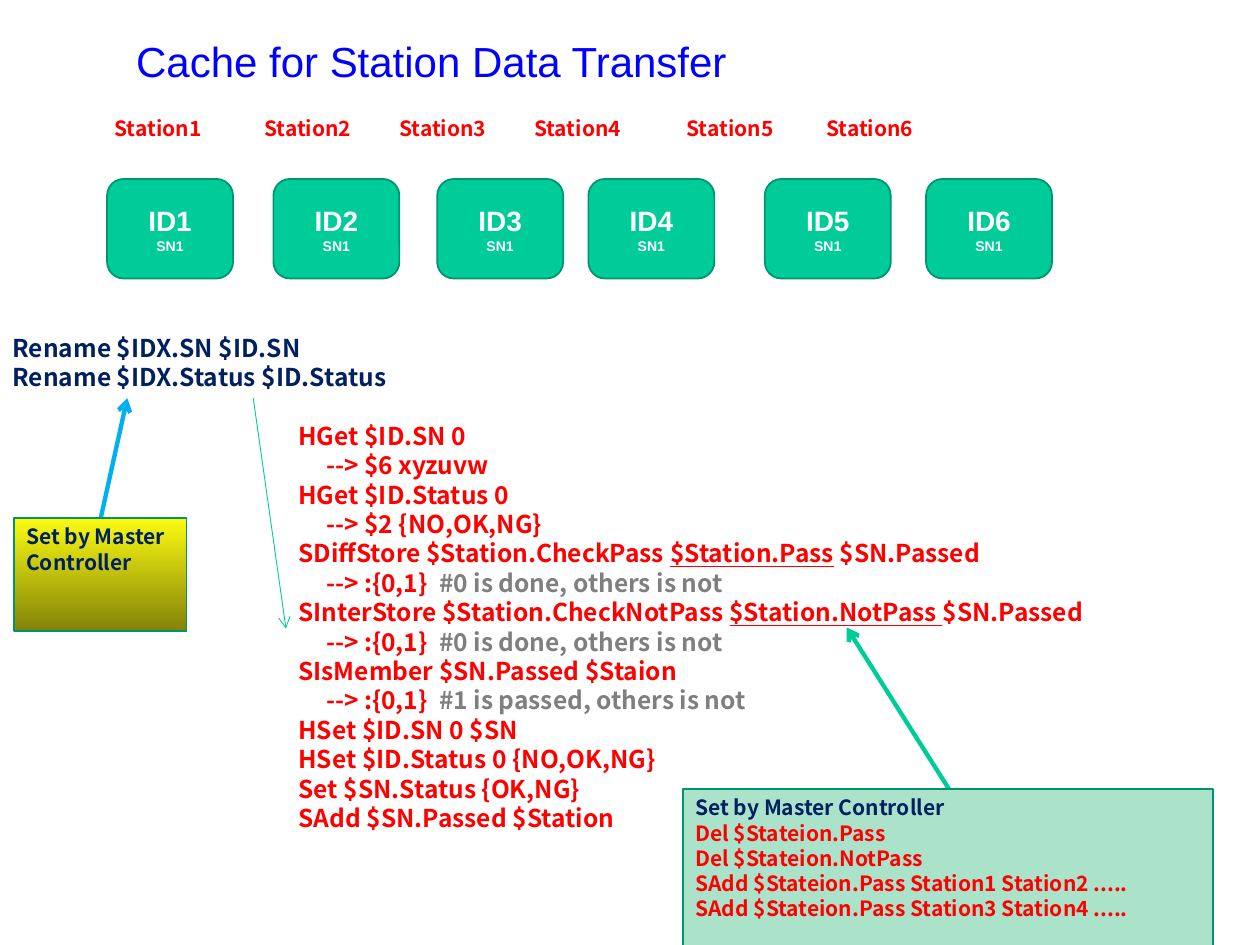
"""Build the station data transfer slide."""
import dataclasses

import lxml.etree
import pptx
import pptx.dml.color
import pptx.enum.shapes
import pptx.enum.text
import pptx.oxml.ns
import pptx.util

Inches = pptx.util.Inches
Pt = pptx.util.Pt
Shape = pptx.enum.shapes.MSO_SHAPE
Anchor = pptx.enum.text.MSO_ANCHOR
Align = pptx.enum.text.PP_ALIGN
qn = pptx.oxml.ns.qn


@dataclasses.dataclass(frozen=True)
class Theme:
    """Colours, fonts and type sizes."""
    blue: str = "0000FF"
    navy: str = "002060"
    red: str = "FF0000"
    gray: str = "7F7F7F"
    white: str = "FFFFFF"
    green: str = "00CC99"
    edge: str = "00956F"
    mint: str = "AAE2CA"
    sky: str = "00B0F0"
    glow: tuple = ("FBFB11", "838309")
    sans: str = "Arial"
    code: str = "Noto Sans CJK SC"
    title: int = 24
    head: int = 16
    body: int = 14
    note: int = 12
    small: int = 8


def rgb(tone):
    """Turn a hex string into a colour."""
    return pptx.dml.color.RGBColor.from_string(tone)


class Deck:
    """Hold the theme and the current slide."""

    def __init__(self, theme):
        """Start a deck with one title-only slide."""
        self.theme = theme
        self.file = pptx.Presentation()
        self.file.slide_width = Inches(10)
        self.file.slide_height = Inches(7.5)
        self.slide = self.file.slides.add_slide(self.file.slide_layouts[5])

    def style(self, run, size, tone, face, bold=True):
        """Format one run."""
        run.font.size = Pt(size)
        run.font.name = face
        run.font.bold = bold
        run.font.color.rgb = rgb(tone)

    def title(self, text, left, top, width, height):
        """Place the title."""
        shape = self.slide.shapes.title
        shape.left, shape.top = Inches(left), Inches(top)
        shape.width, shape.height = Inches(width), Inches(height)
        frame = shape.text_frame
        frame.text = text
        frame.vertical_anchor = Anchor.MIDDLE
        para = frame.paragraphs[0]
        para.alignment = Align.LEFT
        self.style(para.runs[0], self.theme.title, self.theme.blue, self.theme.sans, False)

    def fill(self, frame, lines, size, tone):
        """Fill a frame with lines; a line is a string or a list of (text, tone, underline)."""
        frame.word_wrap = True
        frame.vertical_anchor = Anchor.TOP
        for index, line in enumerate(lines):
            para = frame.paragraphs[0] if index == 0 else frame.add_paragraph()
            para.alignment = Align.LEFT
            para.line_spacing = Pt(size * 1.2)
            parts = [(line, tone, False)] if isinstance(line, str) else line
            if parts[0][0].startswith("-->"):
                para._p.get_or_add_pPr().set("marL", str(Inches(0.22)))
            for text, hue, under in parts:
                run = para.add_run()
                run.text = text
                self.style(run, size, hue, self.theme.code)
                run.font.underline = under

    def text(self, lines, left, top, width, height, size, tone):
        """Add a text box."""
        box = self.slide.shapes.add_textbox(
            Inches(left), Inches(top), Inches(width), Inches(height))
        self.fill(box.text_frame, lines, size, tone)
        return box

    def labels(self, names, stops, left, top, width, height):
        """Add one row of labels set on tab stops."""
        row = "".join("\t" + name for name in names)
        box = self.text([row], left, top, width, height, self.theme.note, self.theme.red)
        props = box.text_frame.paragraphs[0]._p.get_or_add_pPr()
        tabs = lxml.etree.SubElement(props, qn("a:tabLst"))
        for stop in stops:
            lxml.etree.SubElement(
                tabs, qn("a:tab"), pos=str(Inches(stop)), algn="l")

    def shape(self, kind, left, top, width, height, fill):
        """Add an outlined shape; a pair of colours makes a gradient."""
        shape = self.slide.shapes.add_shape(
            kind, Inches(left), Inches(top), Inches(width), Inches(height))
        shape.shadow.inherit = False
        if isinstance(fill, str):
            shape.fill.solid()
            shape.fill.fore_color.rgb = rgb(fill)
        else:
            shape.fill.gradient()
            shape.fill.gradient_angle = 270
            for stop, tone in zip(shape.fill.gradient_stops, fill):
                stop.color.rgb = rgb(tone)
        shape.line.color.rgb = rgb(self.theme.edge)
        shape.line.width = Pt(1)
        return shape

    def station(self, name, left):
        """Add a station block."""
        shape = self.shape(Shape.FLOWCHART_ALTERNATE_PROCESS,
                           left, 1.42, 1, 0.79, self.theme.green)
        frame = shape.text_frame
        frame.text = name + "\nSN1"
        frame.vertical_anchor = Anchor.MIDDLE
        for para, size in zip(frame.paragraphs, (self.theme.head, self.theme.small)):
            para.alignment = Align.CENTER
            self.style(para.runs[0], size, self.theme.white, self.theme.sans)

    def note(self, lines, left, top, width, height, fill):
        """Add a note box."""
        shape = self.shape(Shape.RECTANGLE, left, top, width, height, fill)
        self.fill(shape.text_frame, lines, self.theme.note, self.theme.navy)

    def arrow(self, start, end, tone, width):
        """Add an arrow from start to end."""
        line = self.slide.shapes.add_connector(
            pptx.enum.shapes.MSO_CONNECTOR.STRAIGHT, *map(Inches, start + end))
        line.line.color.rgb = rgb(tone)
        line.line.width = Pt(width)
        props = line._element.spPr
        lxml.etree.SubElement(props.find(qn("a:ln")), qn("a:tailEnd"), type="arrow")
        lxml.etree.SubElement(props, qn("a:effectLst"))


def main():
    """Draw the slide and save it."""
    theme = Theme()
    deck = Deck(theme)
    red = theme.red

    def reply(hint):
        """Give a reply line with a gray hint."""
        return [("--> :{0,1}  ", red, False), (hint, theme.gray, False)]

    def store(call, key, rest):
        """Give a store line with its key underlined."""
        return [(call, red, False), (key, red, True), (rest, red, False)]

    deck.title("Cache for Station Data Transfer", 0.98, 0.23, 7.64, 0.5)
    for index, left in enumerate((0.85, 2.17, 3.47, 4.67, 6.07, 7.35), 1):
        deck.station(f"ID{index}", left)
    deck.text(["Rename $IDX.SN $ID.SN", "Rename $IDX.Status $ID.Status"],
              0, 2.59, 4.02, 0.57, theme.body, theme.navy)
    done = "#0 is done, others is not"
    deck.text([
        "HGet $ID.SN 0", "--> $6 xyzuvw",
        "HGet $ID.Status 0", "--> $2 {NO,OK,NG}",
        store("SDiffStore $Station.CheckPass ", "$Station.Pass", " $SN.Passed"), reply(done),
        store("SInterStore $Station.CheckNotPass ", "$Station.NotPass ", "$SN.Passed"), reply(done),
        "SIsMember $SN.Passed $Staion", reply("#1 is passed, others is not"),
        "HSet $ID.SN 0 $SN", "HSet $ID.Status 0 {NO,OK,NG}",
        "Set $SN.Status {OK,NG}", "SAdd $SN.Passed $Station",
    ], 2.27, 3.29, 6.56, 3.6, theme.body, red)
    deck.arrow((7.53, 6.26), (6.72, 4.98), theme.green, 2.5)
    calls = ("Del $Stateion.Pass", "Del $Stateion.NotPass",
             "SAdd $Stateion.Pass Station1 Station2 .....",
             "SAdd $Stateion.Pass Station3 Station4 .....")
    deck.note(["Set by Master Controller"] + [[(call, red, False)] for call in calls],
              5.42, 6.26, 4.21, 1.5, theme.mint)
    deck.labels([f"Station{index}" for index in range(1, 7)],
                (0.44, 1.63, 2.7, 3.77, 4.98, 6.09), 0.37, 0.87, 8.91, 0.5)
    deck.arrow((2.01, 3.16), (2.27, 4.99), theme.green, 0.5)
    deck.arrow((0.8, 4.11), (1.01, 3.16), theme.sky, 2.5)
    deck.note(["Set by Master Controller"], 0.11, 4.11, 1.37, 0.9, theme.glow)
    deck.file.save("out.pptx")


if __name__ == "__main__":
    main()
